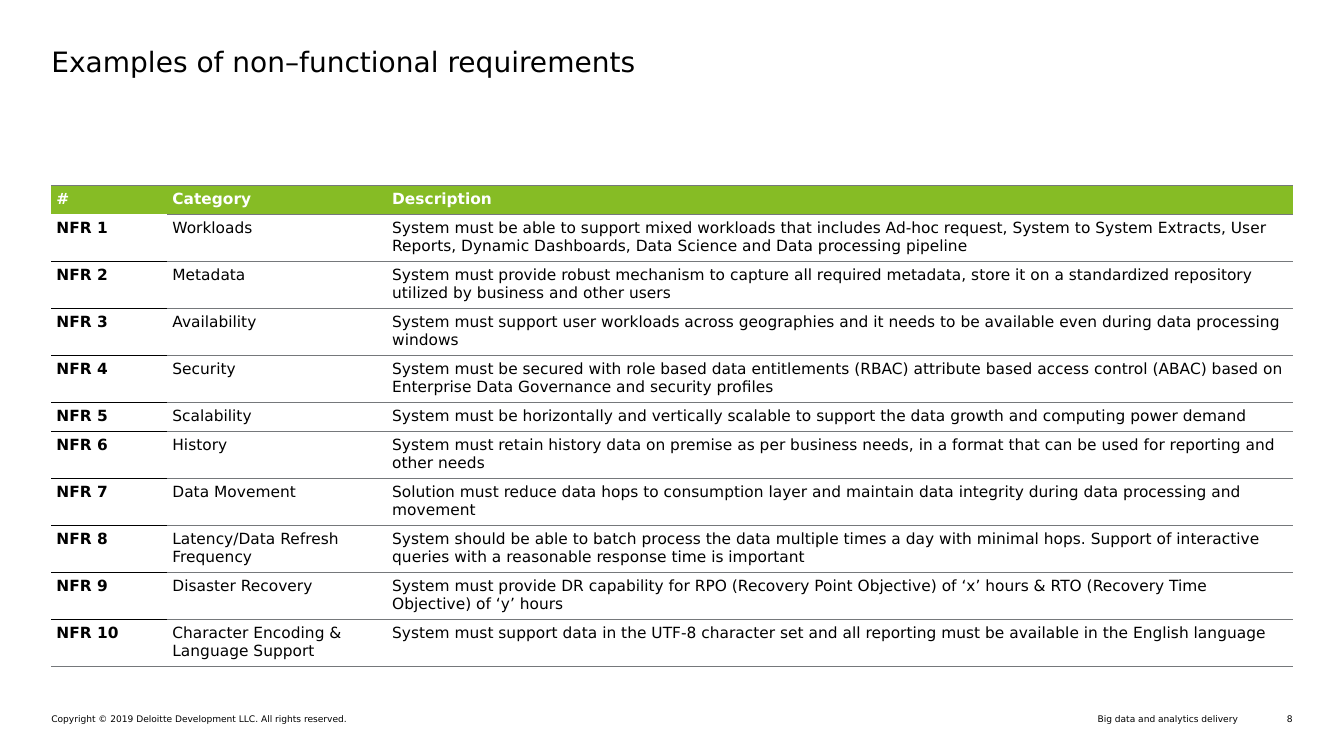
from lxml import etree
from pptx import Presentation, util as u
from pptx.dml.color import RGBColor
from pptx.enum import text
from pptx.oxml import ns

FONT = "DejaVu Sans"
BLACK = RGBColor(0x00, 0x00, 0x00)
WHITE = RGBColor(0xFF, 0xFF, 0xFF)
GREEN = RGBColor(0x86, 0xBC, 0x25)
GREY = RGBColor(0x75, 0x78, 0x7B)

SLIDE_WIDTH, SLIDE_HEIGHT = 13.33, 7.5
MARGIN = 0.51
CONTENT_WIDTH = SLIDE_WIDTH - 2 * MARGIN
COLUMN_WIDTHS = [1.15, 2.18, 8.98]
CELL_INSET = 0.05
LINE_ROW, WRAPPED_ROW = 0.28, 0.45

HEADINGS = ["#", "Category", "Description"]
REQUIREMENTS = [
    ("Workloads", "System must be able to support mixed workloads that includes Ad-hoc request, "
     "System to System Extracts, User Reports, Dynamic Dashboards, Data Science and Data "
     "processing pipeline"),
    ("Metadata", "System must provide robust mechanism to capture all required metadata, store it "
     "on a standardized repository utilized by business and other users"),
    ("Availability", "System must support user workloads across geographies and it needs to be "
     "available even during data processing windows"),
    ("Security", "System must be secured with role based data entitlements (RBAC) attribute based "
     "access control (ABAC) based on Enterprise Data Governance and security profiles"),
    ("Scalability", "System must be horizontally and vertically scalable to support the data "
     "growth and computing power demand"),
    ("History", "System must retain history data on premise as per business needs, in a format "
     "that can be used for reporting and other needs"),
    ("Data Movement", "Solution must reduce data hops to consumption layer and maintain data "
     "integrity during data processing and movement"),
    ("Latency/Data Refresh Frequency", "System should be able to batch process the data multiple "
     "times a day with minimal hops. Support of interactive queries with a reasonable response "
     "time is important"),
    ("Disaster Recovery", "System must provide DR capability for RPO (Recovery Point Objective) "
     "of ‘x’ hours & RTO (Recovery Time Objective) of ‘y’ hours"),
    ("Character Encoding & Language Support", "System must support data in the UTF-8 character "
     "set and all reporting must be available in the English language"),
]


def format_runs(text_frame, size, color=BLACK, bold=False):
    for paragraph in text_frame.paragraphs:
        for run in paragraph.runs:
            run.font.name = FONT
            run.font.size = u.Pt(size)
            run.font.bold = bold
            run.font.color.rgb = color


def add_text(slide, box, words, size, align=text.PP_ALIGN.LEFT):
    shape = slide.shapes.add_textbox(*(u.Inches(length) for length in box))
    frame = shape.text_frame
    frame.margin_left = frame.margin_right = frame.margin_top = frame.margin_bottom = 0
    frame.word_wrap = True
    frame.text = words
    frame.paragraphs[0].alignment = align
    format_runs(frame, size)


def set_borders(cell, top, bottom):
    """Draw (colour, points) rules above and below a cell, and none at its sides."""
    properties = cell._tc.get_or_add_tcPr()
    sides = [("a:lnL", None), ("a:lnR", None), ("a:lnT", top), ("a:lnB", bottom)]
    for index, (tag, rule) in enumerate(sides):
        line = etree.Element(ns.qn(tag))
        if rule:
            color, points = rule
            line.set("w", str(u.Pt(points)))
            fill = etree.SubElement(line, ns.qn("a:solidFill"))
            etree.SubElement(fill, ns.qn("a:srgbClr"), val=str(color))
        else:
            etree.SubElement(line, ns.qn("a:noFill"))
        properties.insert(index, line)


def cell_borders(row, column, last_row):
    """Return the top and bottom rules; the number column has its own thin black ones."""
    grey, black, white = (GREY, 0.5), (BLACK, 0.25), (WHITE, 0.5)
    if column > 0:
        return grey, grey
    edges = [grey, white] + [black] * (last_row - 1) + [grey]
    return edges[row], edges[row + 1]


def add_requirements_table(slide, left, top):
    rows = [HEADINGS] + [(f"NFR {number}", *requirement)
                         for number, requirement in enumerate(REQUIREMENTS, 1)]
    heights = [LINE_ROW if row[1] in ("Category", "Scalability") else WRAPPED_ROW for row in rows]
    frame = slide.shapes.add_table(
        len(rows), len(HEADINGS), u.Inches(left), u.Inches(top),
        u.Inches(sum(COLUMN_WIDTHS)), u.Inches(sum(heights)))
    table = frame.table
    table.horz_banding = False
    for column, width in zip(table.columns, COLUMN_WIDTHS):
        column.width = u.Inches(width)
    for row_index, (values, height) in enumerate(zip(rows, heights)):
        table.rows[row_index].height = u.Inches(height)
        is_header = row_index == 0
        for column_index, value in enumerate(values):
            cell = table.cell(row_index, column_index)
            cell.margin_left = cell.margin_right = u.Inches(CELL_INSET)
            cell.margin_top = cell.margin_bottom = u.Inches(CELL_INSET)
            cell.text_frame.text = value
            format_runs(cell.text_frame, 11, WHITE if is_header else BLACK,
                        bold=is_header or column_index == 0)
            if is_header:
                cell.fill.solid()
                cell.fill.fore_color.rgb = GREEN
            else:
                cell.fill.background()
            set_borders(cell, *cell_borders(row_index, column_index, len(rows) - 1))


def add_footer(slide, top, height):
    right = text.PP_ALIGN.RIGHT
    add_text(slide, (MARGIN, top, 5.86, height),
             "Copyright © 2019 Deloitte Development LLC. All rights reserved.", 6.5)
    add_text(slide, (6.93, top, 5.35, height), "Big data and analytics delivery", 6.5, right)
    add_text(slide, (12.48, top, 0.34, height), "8", 6.5, right)


def main():
    presentation = Presentation()
    presentation.slide_width = u.Inches(SLIDE_WIDTH)
    presentation.slide_height = u.Inches(SLIDE_HEIGHT)
    slide = presentation.slides.add_slide(presentation.slide_layouts[6])
    add_text(slide, (MARGIN, 0.44, CONTENT_WIDTH, 0.76),
             "Examples of non–functional requirements", 20)
    add_requirements_table(slide, MARGIN, 1.84)
    add_footer(slide, 7.08, 0.11)
    presentation.save("out.pptx")


if __name__ == "__main__":
    main()
